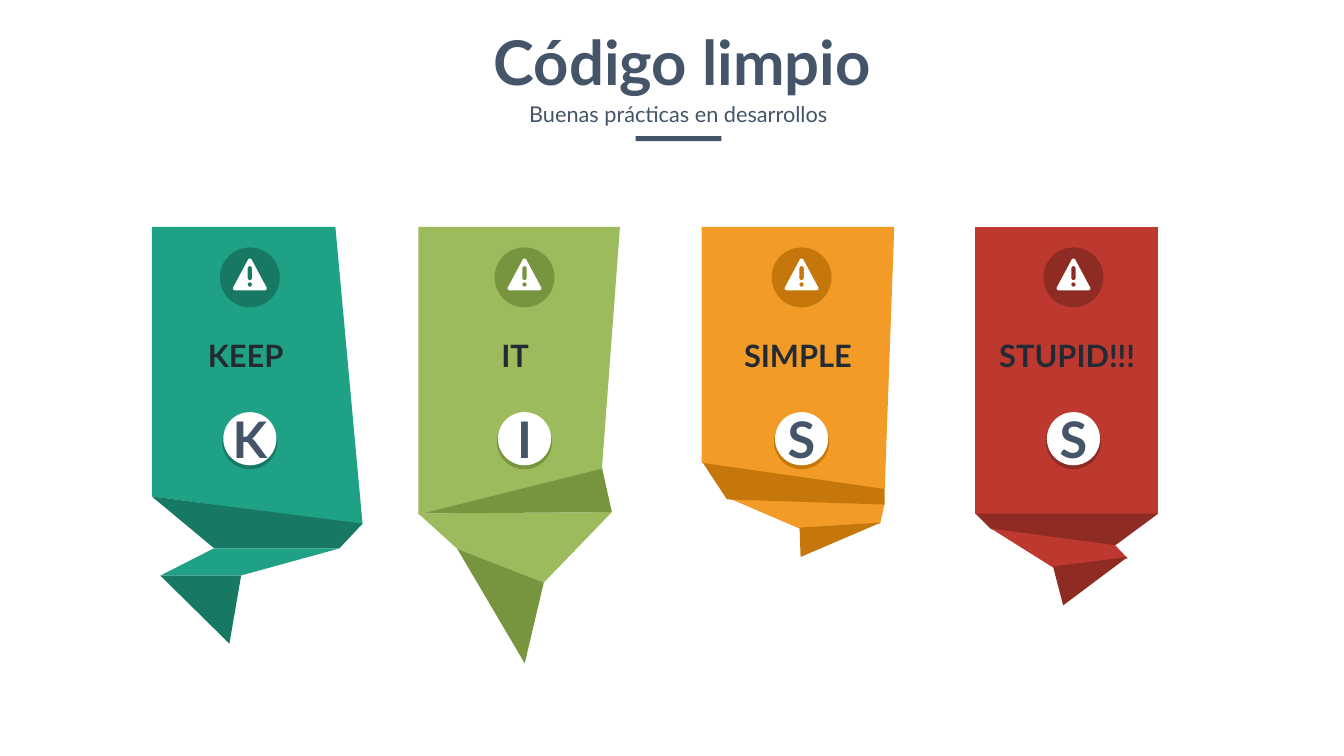
import math

import pptx
import pptx.dml.color
import pptx.enum.shapes
import pptx.enum.text
import pptx.util

Cm = pptx.util.Cm
RGBColor = pptx.dml.color.RGBColor
SHAPE = pptx.enum.shapes.MSO_SHAPE
ANCHOR = pptx.enum.text.MSO_ANCHOR

SLATE = RGBColor(0x44, 0x54, 0x69)
INK = RGBColor(0x22, 0x2A, 0x34)
WHITE = RGBColor(0xFF, 0xFF, 0xFF)
TEAL = RGBColor(0x1E, 0xA1, 0x85)
DARK_TEAL = RGBColor(0x17, 0x79, 0x64)
GREEN = RGBColor(0x9B, 0xBB, 0x5C)
DARK_GREEN = RGBColor(0x77, 0x94, 0x3E)
ORANGE = RGBColor(0xF2, 0x9B, 0x26)
DARK_ORANGE = RGBColor(0xC6, 0x77, 0x0C)
RED = RGBColor(0xBD, 0x39, 0x2F)
DARK_RED = RGBColor(0x8E, 0x2B, 0x23)

FONT = "Lato"
BANNER_TOP = 11.43

BANNERS = [
    dict(left=7.65, centre=4.94, label_width=9.45, word="KEEP", letter="K", colours=(TEAL, DARK_TEAL), panels=[
        (0, [(0, 0), (0, 13.59), (10.62, 14.99), (9.25, 0)]),
        (1, [(10.62, 14.96), (9.45, 16.21), (3.15, 16.21), (0, 13.59)]),
        (0, [(3.12, 16.21), (0.43, 17.58), (4.47, 17.58), (9.45, 16.21)]),
        (1, [(0.43, 17.58), (3.91, 21.01), (4.5, 17.58)]),
    ]),
    dict(left=21.08, centre=5.35, label_width=9.75, word="IT", letter="I", colours=(GREEN, DARK_GREEN), panels=[
        (0, [(9.75, 14.38), (6.32, 17.93), (1.96, 16.23), (0, 14.45)]),
        (1, [(0, 14.45), (9.75, 14.38), (9.25, 12.12)]),
        (0, [(0, 0), (0, 14.5), (9.25, 12.19), (10.16, 0)]),
        (1, [(1.96, 16.23), (5.36, 22), (6.32, 17.93)]),
    ]),
    dict(left=35.36, centre=5.03, label_width=9.7, word="SIMPLE", letter="S", colours=(ORANGE, DARK_ORANGE), panels=[
        (0, [(1.27, 13.64), (4.93, 15.21), (8.99, 14.96), (9.22, 13.92)]),
        (1, [(4.98, 16.64), (9.02, 14.91), (4.93, 15.16)]),
        (1, [(9.22, 13.16), (9.22, 14), (1.27, 13.74), (0, 11.81)]),
        (0, [(0, 0), (0, 11.89), (9.22, 13.21), (9.7, 0)]),
    ]),
    dict(left=49.15, centre=4.94, label_width=9.25, word="STUPID!!!", letter="S", colours=(RED, DARK_RED), panels=[
        (0, [(0, 0), (0, 14.5), (9.22, 14.5), (9.22, 0)]),
        (1, [(0, 14.45), (0.79, 15.24), (7.01, 16.08), (9.22, 14.45)]),
        (0, [(0.79, 15.21), (3.91, 17.17), (7.67, 16.71), (7.04, 16.05)]),
        (1, [(4.42, 19.08), (7.67, 16.64), (3.91, 17.12)]),
    ]),
]


def paint(shape, colour):
    shape.shadow.inherit = False
    shape.fill.solid()
    shape.fill.fore_color.rgb = colour
    shape.line.fill.background()
    return shape


def add_outline(page, left, top, contours, colour):
    contours = [[(Cm(left + x), Cm(top + y)) for x, y in points] for points in contours]
    builder = page.shapes.build_freeform(*contours[0][0])
    builder.add_line_segments(contours[0][1:], close=True)
    for points in contours[1:]:
        builder.move_to(*points[0])
        builder.add_line_segments(points[1:], close=True)
    return paint(builder.convert_to_shape(), colour)


def add_disc(page, x, y, diameter, colour):
    corner = Cm(x - diameter / 2), Cm(y - diameter / 2)
    return paint(page.shapes.add_shape(SHAPE.OVAL, *corner, Cm(diameter), Cm(diameter)), colour)


def write(frame, text, size, colour, bold=True):
    para = frame.paragraphs[0]
    para.alignment = pptx.enum.text.PP_ALIGN.CENTER
    span = para.add_run()
    span.text = text
    span.font.name = FONT
    span.font.size = pptx.util.Pt(size)
    span.font.bold = bold
    span.font.color.rgb = colour
    return para


def add_text(page, left, top, width, height, text, size, colour, bold=True, wrap=True):
    box = page.shapes.add_textbox(Cm(left), Cm(top), Cm(width), Cm(height))
    box.text_frame.word_wrap = wrap
    write(box.text_frame, text, size, colour, bold)
    return box.text_frame


def arc(x, y, radius, start, end, steps=8):
    angles = [math.radians(start + (end - start) * i / steps) for i in range(steps + 1)]
    return [(x + radius * math.cos(a), y + radius * math.sin(a)) for a in angles]


def add_warning(page, x, y):
    triangle = arc(0, -0.85, 0.1, -152, -28) + arc(0.75, 0.55, 0.1, -28, 90) + arc(-0.75, 0.55, 0.1, 90, 208)
    stroke = arc(0, -0.46, 0.11, 180, 360) + arc(0, 0.03, 0.11, 0, 180)
    dot = arc(0, 0.36, 0.11, 0, 360, 16)
    add_outline(page, x, y, [triangle, stroke, dot], WHITE)


def add_banner(page, top, left, centre, label_width, word, letter, colours, panels):
    for shade, points in panels:
        add_outline(page, left, top, [points], colours[shade])
    middle = left + centre
    add_disc(page, middle, top + 2.55, 3.02, colours[1])
    add_warning(page, middle, top + 2.55)
    add_text(page, left, top + 5.44, label_width, 2.13, word, 44, INK)
    add_disc(page, middle, top + 10.83, 2.78, colours[1])
    frame = add_disc(page, middle, top + 10.68, 2.68, WHITE).text_frame
    frame.word_wrap = False
    frame.vertical_anchor = ANCHOR.MIDDLE
    write(frame, letter, 72, SLATE)


def add_heading(page, left, top):
    rule = page.shapes.add_shape(SHAPE.RECTANGLE, Cm(left + 8.36), Cm(top + 5.77), Cm(4.32), Cm(0.25))
    paint(rule, SLATE)
    add_text(page, left, top, 21.41, 4.01, "Código limpio", 88, SLATE, wrap=False)
    frame = add_text(page, left + 2.03, top + 3.45, 16.94, 2.06,
                     "Buenas prácticas en desarrollos", 31, SLATE, bold=False)
    frame.margin_left = frame.margin_right = Cm(0.61)
    frame.margin_top = frame.margin_bottom = Cm(0.3)
    frame.paragraphs[0].line_spacing = 1.2


def main():
    deck = pptx.Presentation()
    deck.slide_width, deck.slide_height = Cm(67.72), Cm(38.1)
    page = deck.slides.add_slide(deck.slide_layouts[6])
    for banner in BANNERS:
        add_banner(page, BANNER_TOP, **banner)
    add_heading(page, 23.67, 1.09)
    deck.save("out.pptx")


if __name__ == "__main__":
    main()
